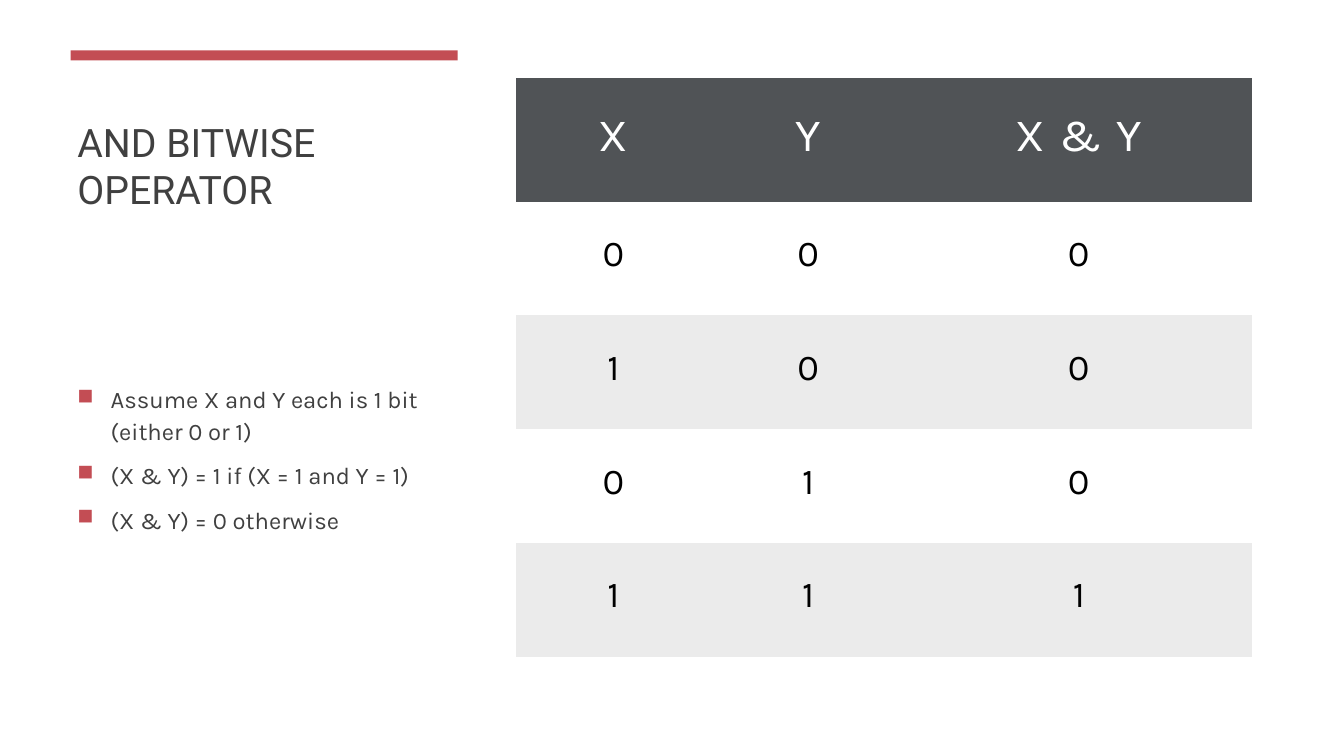
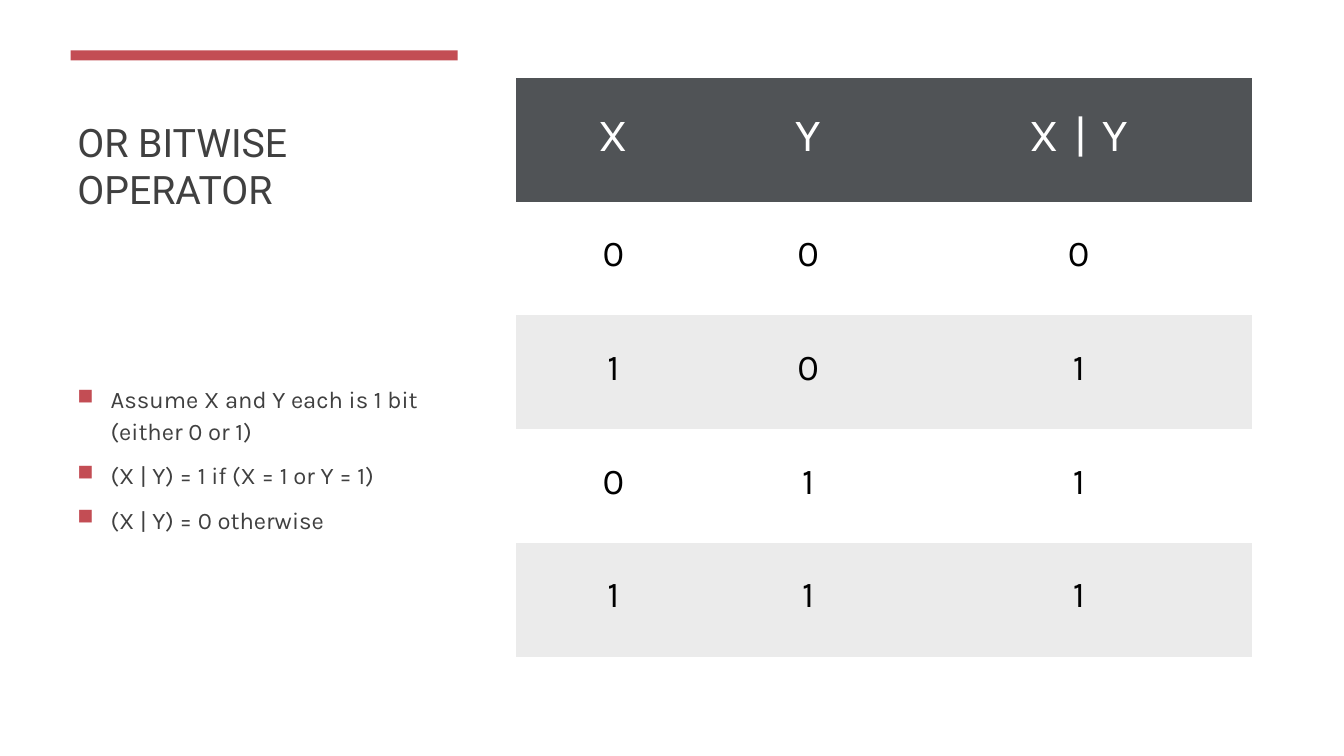
from pptx import Presentation
from pptx.dml.color import RGBColor
from pptx.enum.shapes import MSO_SHAPE
from pptx.enum.text import MSO_ANCHOR, PP_ALIGN
from pptx.oxml.ns import qn
from pptx.util import Inches, Pt
from lxml import etree

# Shared style
RED = RGBColor(0xC3, 0x4D, 0x54)
DARK_GRAY = RGBColor(0x40, 0x40, 0x40)
HEADER_GRAY = RGBColor(0x50, 0x53, 0x56)
BAND_GRAY = RGBColor(0xEB, 0xEB, 0xEB)
WHITE = RGBColor(0xFF, 0xFF, 0xFF)
BLACK = RGBColor(0, 0, 0)
TITLE_FONT = "Roboto"
BODY_FONT = "Karla"
NO_GRID_STYLE = "{2D5ABB26-0587-4C30-8999-92F81FD0307C}"

COLUMN_WIDTHS = [1.93, 1.93, 3.44]
HEADER_HEIGHT, ROW_HEIGHT = 1.23, 1.13
INPUTS = [(0, 0), (1, 0), (0, 1), (1, 1)]

# Operator name, symbol, joining word, result column
OPERATORS = [
    ("AND", "&", "and", [x & y for x, y in INPUTS]),
    ("OR", "|", "or", [x | y for x, y in INPUTS]),
]


def add_run(paragraph, text, font, size, color):
    run = paragraph.add_run()
    run.text = text
    run.font.name = font
    run.font.size = Pt(size)
    run.font.color.rgb = color
    return run


def add_bullet(paragraph):
    properties = paragraph._p.get_or_add_pPr()
    properties.set("marL", str(Inches(0.33)))
    properties.set("indent", str(-Inches(0.33)))
    color = etree.SubElement(properties, qn("a:buClr"))
    etree.SubElement(color, qn("a:srgbClr"), val=str(RED))
    etree.SubElement(properties, qn("a:buSzPct"), val="92000")
    etree.SubElement(properties, qn("a:buChar"), char="■")


presentation = Presentation()
presentation.slide_width = Inches(13.33)
presentation.slide_height = Inches(7.5)

for name, symbol, word, results in OPERATORS:
    slide = presentation.slides.add_slide(presentation.slide_layouts[6])
    expression = f"X {symbol} Y"

    # Title
    title = slide.shapes.add_textbox(Inches(0.67), Inches(0.77), Inches(3.9), Inches(1.39))
    title.text_frame.word_wrap = True
    title.text_frame.vertical_anchor = MSO_ANCHOR.BOTTOM
    add_run(title.text_frame.paragraphs[0], f"{name} BITWISE OPERATOR", TITLE_FONT, 28, DARK_GRAY)

    # Accent bar
    bar = slide.shapes.add_shape(
        MSO_SHAPE.RECTANGLE, Inches(0.7), Inches(0.5), Inches(3.84), Inches(0.1))
    bar.shadow.inherit = False
    bar.fill.solid()
    bar.fill.fore_color.rgb = RED
    bar.line.fill.background()

    # Bulleted rules
    body = slide.shapes.add_textbox(Inches(0.67), Inches(2.56), Inches(3.9), Inches(3.97))
    frame = body.text_frame
    frame.word_wrap = True
    frame.vertical_anchor = MSO_ANCHOR.MIDDLE
    rules = [
        "Assume X and Y each is 1 bit (either 0 or 1)",
        f"({expression}) = 1 if (X = 1 {word} Y = 1)",
        f"({expression}) = 0 otherwise",
    ]
    for index, rule in enumerate(rules):
        paragraph = frame.add_paragraph() if index else frame.paragraphs[0]
        paragraph.line_spacing = 1.1
        paragraph.space_before = Pt(3.4)
        paragraph.space_after = Pt(6)
        add_bullet(paragraph)
        add_run(paragraph, rule, BODY_FONT, 17, DARK_GRAY)

    # Truth table
    rows = [("X", "Y", expression)]
    rows += [(x, y, result) for (x, y), result in zip(INPUTS, results)]
    table = slide.shapes.add_table(
        len(rows), len(COLUMN_WIDTHS), Inches(5.12), Inches(0.77),
        Inches(sum(COLUMN_WIDTHS)), Inches(HEADER_HEIGHT + ROW_HEIGHT * len(INPUTS))).table
    table._tbl.tblPr.find(qn("a:tableStyleId")).text = NO_GRID_STYLE
    for column, width in zip(table.columns, COLUMN_WIDTHS):
        column.width = Inches(width)

    for row_index, values in enumerate(rows):
        is_header = row_index == 0
        table.rows[row_index].height = Inches(HEADER_HEIGHT if is_header else ROW_HEIGHT)
        for column_index, value in enumerate(values):
            cell = table.cell(row_index, column_index)
            cell.margin_left = cell.margin_right = Inches(0.31)
            cell.margin_top = cell.margin_bottom = Inches(0.31)
            if row_index % 2:
                cell.fill.background()
            else:
                cell.fill.solid()
                cell.fill.fore_color.rgb = HEADER_GRAY if is_header else BAND_GRAY
            paragraph = cell.text_frame.paragraphs[0]
            paragraph.alignment = PP_ALIGN.CENTER
            if is_header:
                run = add_run(paragraph, value, BODY_FONT, 33, WHITE)
                run.font._element.set("spc", "150")
            else:
                add_run(paragraph, str(value), BODY_FONT, 26, BLACK)

presentation.save("out.pptx")
